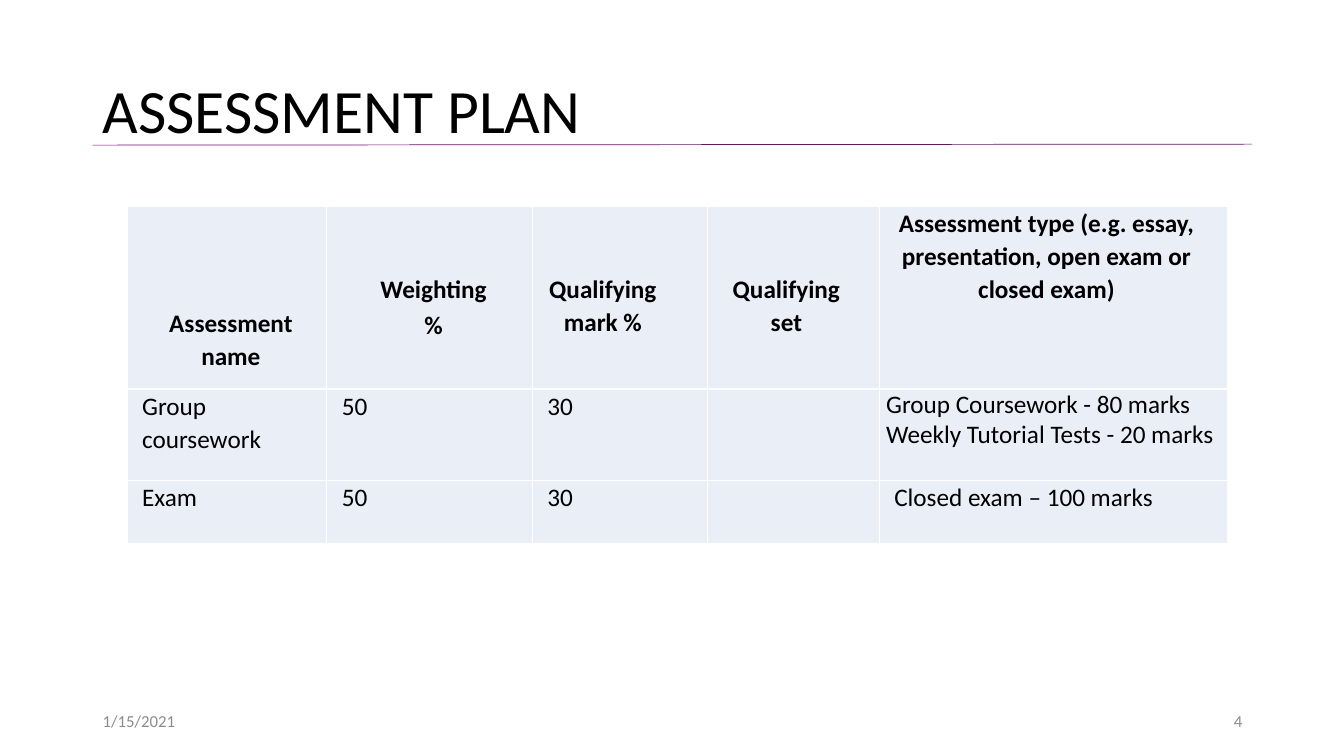
from dataclasses import dataclass

from lxml.etree import SubElement
from pptx import Presentation
from pptx.dml.color import RGBColor
from pptx.enum.shapes import MSO_CONNECTOR
from pptx.enum.text import MSO_ANCHOR, PP_ALIGN
from pptx.oxml.ns import qn
from pptx.util import Inches, Pt

COLORS = {
    "text": "000000",
    "footer": "8C8C8C",
    "rule": "800080",
    "cell": "EAEFF7",
    "border": "FFFFFF",
}
FONT = "Calibri"
COLUMN_WIDTHS = (1.98, 2.04, 1.74, 1.7, 3.46)
ROW_HEIGHTS = (1.81, 0.91, 0.62)
INSET = 0.07
INDENTED = 0.15


@dataclass(frozen=True)
class Label:
    text: str
    left: float
    top: float
    width: float
    height: float
    size: float
    color: str
    align: PP_ALIGN = PP_ALIGN.LEFT
    line_spacing: float = 1.0


@dataclass(frozen=True)
class Entry:
    """Text of one table cell, with its insets in inches."""
    text: str = ""
    left: float = INDENTED
    top: float = 0
    right: float = INSET
    heading: bool = False
    line_spacing: float = 1.07
    space_before: float = 3


LABELS = (
    Label("ASSESSMENT PLAN", 0.92, 0.4, 11.5, 1.45, 44, "text", line_spacing=0.9),
    Label("1/15/2021", 0.92, 6.95, 3, 0.4, 12, "footer"),
    Label("4", 9.42, 6.95, 3, 0.4, 12, "footer", PP_ALIGN.RIGHT),
)
ASSESSMENTS = (
    (
        Entry("Assessment name", top=0.99, heading=True),
        Entry("Weighting\n%", top=0.65, heading=True, space_before=2),
        Entry("Qualifying mark %", top=0.65, right=0.49, heading=True),
        Entry("Qualifying set", top=0.65, right=0.29, heading=True),
        Entry("Assessment type (e.g. essay, presentation, open exam or closed exam)",
              right=0.29, heading=True),
    ),
    (
        Entry("Group coursework"),
        Entry("50"),
        Entry("30"),
        Entry(),
        Entry("Group Coursework - 80 marks\nWeekly Tutorial Tests - 20 marks",
              left=INSET, line_spacing=1.0, space_before=0),
    ),
    (
        Entry("Exam"),
        Entry("50"),
        Entry("30"),
        Entry(),
        Entry("Closed exam – 100 marks"),
    ),
)


def rgb(name: str) -> RGBColor:
    return RGBColor.from_string(COLORS[name])


def style_font(font, size: float, color: str, bold: bool = False) -> None:
    font.name = FONT
    font.size = Pt(size)
    font.bold = bold
    font.color.rgb = rgb(color)


def add_label(slide, label: Label) -> None:
    box = slide.shapes.add_textbox(Inches(label.left), Inches(label.top),
                                   Inches(label.width), Inches(label.height))
    frame = box.text_frame
    frame.word_wrap = True
    frame.vertical_anchor = MSO_ANCHOR.MIDDLE
    frame.text = label.text
    paragraph = frame.paragraphs[0]
    paragraph.alignment = label.align
    paragraph.line_spacing = label.line_spacing
    style_font(paragraph.runs[0].font, label.size, label.color)


def add_title_rule(slide) -> None:
    rule = slide.shapes.add_connector(MSO_CONNECTOR.STRAIGHT, Inches(0.92), Inches(1.44),
                                      Inches(12.42), Inches(1.43))
    rule.line.color.rgb = rgb("rule")
    rule.line.width = Pt(0.5)
    SubElement(rule._element.spPr, qn("a:effectLst"))


def add_borders(cell) -> None:
    properties = cell._tc.get_or_add_tcPr()
    for side in ("L", "R", "T", "B"):
        line = SubElement(properties, qn(f"a:ln{side}"), w=str(Pt(1)))
        fill = SubElement(line, qn("a:solidFill"))
        SubElement(fill, qn("a:srgbClr"), val=COLORS["border"])


def fill_cell(cell, entry: Entry) -> None:
    add_borders(cell)
    cell.fill.solid()
    cell.fill.fore_color.rgb = rgb("cell")
    cell.margin_left = Inches(entry.left)
    cell.margin_right = Inches(entry.right)
    cell.margin_top = Inches(entry.top)
    cell.margin_bottom = 0
    cell.text_frame.text = entry.text
    for paragraph in cell.text_frame.paragraphs:
        paragraph.alignment = PP_ALIGN.CENTER if entry.heading else PP_ALIGN.LEFT
        paragraph.line_spacing = entry.line_spacing
        paragraph.space_before = Pt(entry.space_before)
        for run in paragraph.runs:
            style_font(run.font, 18, "text", entry.heading)


def add_assessment_table(slide) -> None:
    table = slide.shapes.add_table(
        len(ROW_HEIGHTS), len(COLUMN_WIDTHS), Inches(1.26), Inches(2.05),
        Inches(sum(COLUMN_WIDTHS)), Inches(sum(ROW_HEIGHTS))).table
    table.first_row = False
    table.horz_banding = False
    for column, width in zip(table.columns, COLUMN_WIDTHS):
        column.width = Inches(width)
    for row, height, entries in zip(table.rows, ROW_HEIGHTS, ASSESSMENTS):
        row.height = Inches(height)
        for cell, entry in zip(row.cells, entries):
            fill_cell(cell, entry)


def main() -> None:
    presentation = Presentation()
    presentation.slide_width = Inches(13.33)
    presentation.slide_height = Inches(7.5)
    slide = presentation.slides.add_slide(presentation.slide_layouts[6])
    add_title_rule(slide)
    for label in LABELS:
        add_label(slide, label)
    add_assessment_table(slide)
    presentation.save("out.pptx")


if __name__ == "__main__":
    main()
